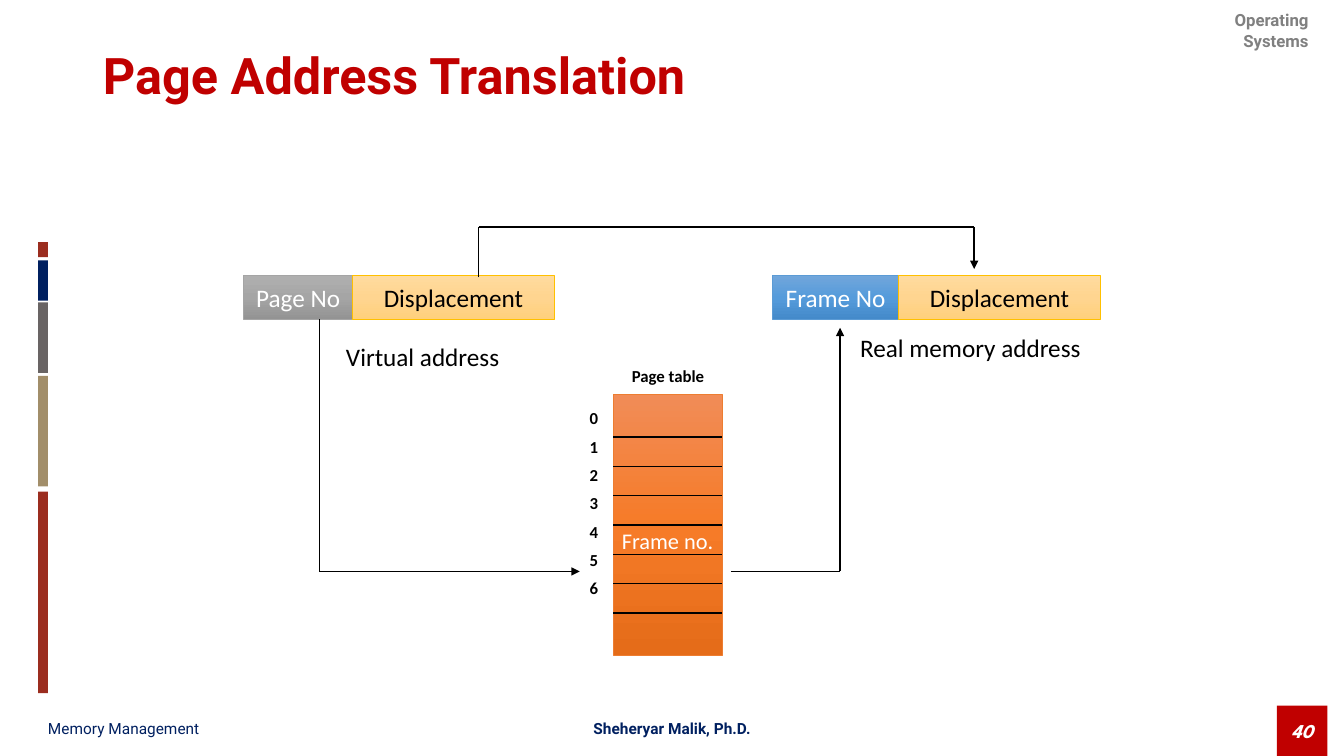
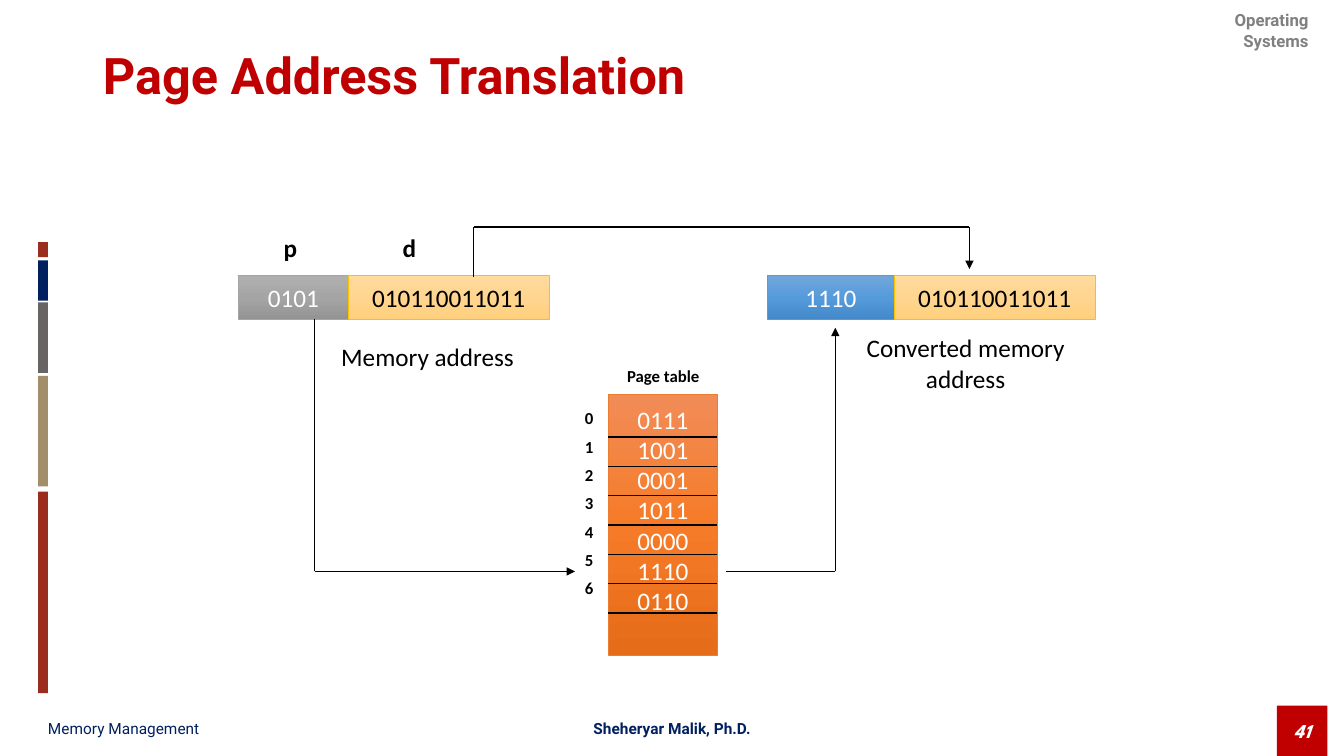
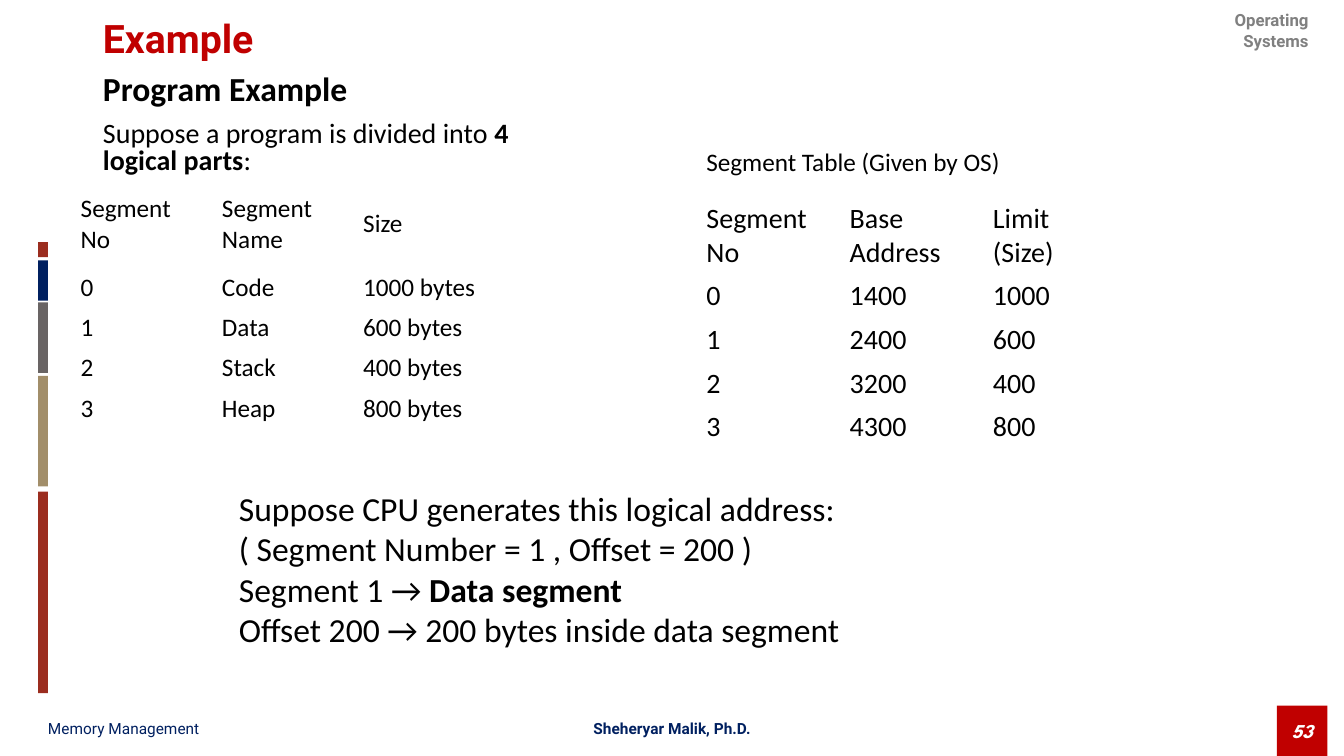
import copy
import itertools
from dataclasses import dataclass, replace
from typing import Optional, Sequence

import lxml.etree
import pptx
import pptx.dml.color
import pptx.enum.shapes
import pptx.enum.text
import pptx.oxml.ns
import pptx.util

Cm = pptx.util.Cm
Pt = pptx.util.Pt
qn = pptx.oxml.ns.qn
Align = pptx.enum.text.PP_ALIGN
Anchor = pptx.enum.text.MSO_ANCHOR
Point = tuple[float, float]
Colors = tuple[str, str, str]


# Theme: colours and text styles
@dataclass(frozen=True)
class Style:
    size: float
    color: str = "000000"
    font: str = "Calibri"
    bold: bool = False
    italic: bool = False


@dataclass(frozen=True)
class Theme:
    red: str = "C00000"
    navy: str = "002060"
    brick: str = "9B2D1F"
    sand: str = "A28E6A"
    stone: str = "696464"
    black: str = "000000"
    gray_fill: Colors = ("AFAFAF", "A5A5A5", "939393")
    gold_fill: Colors = ("FFDB9E", "FFD590", "FFD07C")
    blue_fill: Colors = ("71A6DB", "559BDB", "448ACA")
    orange_fill: Colors = ("F18C57", "F67B28", "E56C19")
    gray_line: str = "A5A5A5"
    gold_line: str = "FFC000"
    blue_line: str = "5B9BD5"
    orange_line: str = "ED7D31"
    title: Style = Style(36, "C00000", "Roboto", True)
    small_title: Style = Style(28, "C00000", "Roboto", True)
    course: Style = Style(12, "808080", "Roboto", True)
    chapter: Style = Style(11, "002060", "Roboto")
    author: Style = Style(11, "002060", "Roboto", True)
    number: Style = Style(14, "FFFFFF", "League Spartan", True, True)
    label: Style = Style(18)
    label_bold: Style = Style(18, bold=True)
    label_white: Style = Style(18, "FFFFFF")
    entry_white: Style = Style(16, "FFFFFF")
    index: Style = Style(12, bold=True)
    large: Style = Style(24)
    large_bold: Style = Style(24, bold=True)
    medium: Style = Style(20)
    medium_bold: Style = Style(20, bold=True)


THEME = Theme()


@dataclass(frozen=True)
class Box:
    left: float
    top: float
    width: float
    height: float

    def lengths(self) -> tuple:
        return Cm(self.left), Cm(self.top), Cm(self.width), Cm(self.height)


@dataclass(frozen=True)
class Run:
    text: str
    style: Style


Lines = Sequence[Sequence[Run]]


@dataclass(frozen=True)
class Bar:
    top: float
    height: float
    color: str


SIDE_BARS = (
    Bar(6.1, 0.38, THEME.brick),
    Bar(6.56, 1.02, THEME.navy),
    Bar(7.62, 1.78, THEME.stone),
    Bar(9.47, 2.79, THEME.sand),
    Bar(12.39, 5.08, THEME.brick),
)


@dataclass(frozen=True)
class Translation:
    number: str
    shift: float
    page: str
    displacement: str
    frame: str
    source_label: str
    target_label: str
    entries: Sequence[str]
    entry_style: Style
    entry_inset: float
    field_marks: Sequence[tuple[str, float]] = ()


@dataclass(frozen=True)
class Grid:
    box: Box
    columns: Sequence[float]
    rows: Sequence[float]
    style: Style
    cells: Sequence[Sequence[str]]


def rgb(color: str) -> pptx.dml.color.RGBColor:
    return pptx.dml.color.RGBColor.from_string(color)


# Text
def write(frame, lines: Lines, align=Align.LEFT, spacing: Optional[float] = None,
          before: float = 0, bullets_off: bool = False) -> None:
    for position, runs in enumerate(lines):
        paragraph = frame.paragraphs[0] if position == 0 else frame.add_paragraph()
        if bullets_off:
            properties = paragraph._p.get_or_add_pPr()
            properties.set("marL", "0")
            properties.set("indent", "0")
            lxml.etree.SubElement(properties, qn("a:buNone"))
        paragraph.alignment = align
        paragraph.space_before = Pt(before if position else 0)
        if spacing:
            paragraph.line_spacing = spacing
        for part in runs:
            run = paragraph.add_run()
            run.text = part.text
            run.font.size = Pt(part.style.size)
            run.font.name = part.style.font
            run.font.bold = part.style.bold
            run.font.italic = part.style.italic
            run.font.color.rgb = rgb(part.style.color)


def plain(texts: Sequence[str], style: Style) -> Lines:
    return [[Run(text, style)] for text in texts]


def add_label(slide, box: Box, lines: Lines, align=Align.LEFT, anchor=Anchor.TOP,
              before: float = 0) -> None:
    frame = slide.shapes.add_textbox(*box.lengths()).text_frame
    frame.word_wrap = True
    frame.vertical_anchor = anchor
    write(frame, lines, align, before=before)


def fill_placeholder(placeholder, box: Box, lines: Lines, anchor, spacing: float,
                     before: float = 0) -> None:
    placeholder.left, placeholder.top, placeholder.width, placeholder.height = box.lengths()
    frame = placeholder.text_frame
    frame.auto_size = pptx.enum.text.MSO_AUTO_SIZE.NONE
    frame.vertical_anchor = anchor
    write(frame, lines, spacing=spacing, before=before, bullets_off=True)


# Shapes and lines
def add_rectangle(slide, box: Box):
    rectangle = slide.shapes.add_shape(
        pptx.enum.shapes.MSO_SHAPE.RECTANGLE, *box.lengths())
    rectangle.shadow.inherit = False
    return rectangle


def add_solid(slide, box: Box, color: str):
    block = add_rectangle(slide, box)
    block.fill.solid()
    block.fill.fore_color.rgb = rgb(color)
    block.line.fill.background()
    return block


def add_gradient(slide, box: Box, colors: Colors, outline: str, lines: Lines,
                 inset: Optional[float] = None) -> None:
    block = add_rectangle(slide, box)
    block.fill.gradient()
    block.fill.gradient_angle = 270
    stops = block.element.spPr.find(".//" + qn("a:gsLst"))
    stops.append(copy.deepcopy(stops[0]))
    for stop, color, place in zip(block.fill.gradient_stops, colors, (0, 0.5, 1)):
        stop.color.rgb = rgb(color)
        stop.position = place
    block.line.color.rgb = rgb(outline)
    block.line.width = Pt(0.5)
    frame = block.text_frame
    frame.word_wrap = False
    frame.vertical_anchor = Anchor.MIDDLE
    if inset is not None:
        frame.vertical_anchor = Anchor.TOP
        frame.margin_top = Cm(inset)
    write(frame, lines, Align.CENTER)


def add_route(slide, points: Sequence[Point], arrow: bool = True) -> None:
    legs = list(itertools.pairwise(points))
    for position, (start, end) in enumerate(legs, 1):
        leg = slide.shapes.add_connector(
            pptx.enum.shapes.MSO_CONNECTOR.STRAIGHT,
            *(Cm(value) for value in (*start, *end)))
        leg.line.color.rgb = rgb(THEME.black)
        leg.line.width = Pt(1)
        properties = leg.element.spPr
        if arrow and position == len(legs):
            lxml.etree.SubElement(
                properties.find(qn("a:ln")), qn("a:tailEnd"), type="triangle")
        lxml.etree.SubElement(properties, qn("a:effectLst"))


def add_grid(slide, grid: Grid) -> None:
    table = slide.shapes.add_table(
        len(grid.rows), len(grid.columns), *grid.box.lengths()).table
    table.first_row = False
    table.horz_banding = False
    for column, width in zip(table.columns, grid.columns):
        column.width = Cm(width)
    for row, height, texts in zip(table.rows, grid.rows, grid.cells):
        row.height = Cm(height)
        for cell, text in zip(row.cells, texts):
            cell.fill.background()
            cell.vertical_anchor = Anchor.MIDDLE
            write(cell.text_frame, plain([text], grid.style))


# Frame shared by all slides
def new_slide(deck, layout: int, number: str, title: str, style: Style,
              title_height: float):
    slide = deck.slides.add_slide(deck.slide_layouts[layout])
    add_label(slide, Box(29.34, 0.13, 3.89, 1.3),
              plain(["Operating Systems"], THEME.course), Align.RIGHT)
    badge = add_solid(slide, Box(32.18, 17.78, 1.27, 1.27), THEME.red)
    badge.text_frame.vertical_anchor = Anchor.MIDDLE
    write(badge.text_frame, plain([number], THEME.number), Align.CENTER)
    chapter = Box(0.96, 17.93, 11.18, 0.84)
    add_label(slide, chapter, plain(["Memory Management"], THEME.chapter),
              anchor=Anchor.MIDDLE)
    add_label(slide, replace(chapter, left=11.35),
              plain(["Sheheryar Malik, Ph.D."], THEME.author),
              Align.CENTER, Anchor.MIDDLE)
    for bar in SIDE_BARS:
        add_solid(slide, Box(0.96, bar.top, 0.25, bar.height), bar.color)
    fill_placeholder(slide.shapes.title, Box(2.34, 0.13, 29.21, title_height),
                     plain([title], style), Anchor.MIDDLE, 0.9)
    return slide


# Address translation diagram
def add_translation(deck, case: Translation) -> None:
    slide = new_slide(deck, 5, case.number, "Page Address Translation", THEME.title, 3.68)

    def box(left: float, top: float, width: float, height: float) -> Box:
        return Box(left + case.shift, top, width, height)

    def route(*points: Point) -> None:
        add_route(slide, [(x + case.shift, y) for x, y in points])

    # Address fields
    fields = (
        (6.14, 2.75, THEME.gray_fill, THEME.gray_line, case.page, THEME.label_white),
        (8.89, 5.08, THEME.gold_fill, THEME.gold_line, case.displacement, THEME.label),
        (19.47, 3.18, THEME.blue_fill, THEME.blue_line, case.frame, THEME.label_white),
        (22.65, 5.08, THEME.gold_fill, THEME.gold_line, case.displacement, THEME.label),
    )
    for left, width, colors, outline, text, style in fields:
        add_gradient(slide, box(left, 6.95, width, 1.1), colors, outline,
                     plain([text], style))

    # Page table with its row numbers
    add_label(slide, box(14.61, 10.16, 0.85, 5.33),
              plain([str(row) for row in range(7)], THEME.index), before=5.8)
    page_table = box(15.45, 9.95, 2.75, 6.56)
    add_gradient(slide, page_table, THEME.orange_fill, THEME.orange_line,
                 plain(case.entries, case.entry_style), case.entry_inset)
    for row in range(7):
        y = 11.01 + 0.74 * row
        add_route(slide, [(page_table.left, y),
                          (page_table.left + page_table.width, y)], arrow=False)

    # Routes from the source address to the target address
    route((8.05, 8.05), (8.05, 14.4), (14.61, 14.4))
    route((18.42, 14.4), (21.17, 14.4), (21.17, 8.26))
    route((12.06, 6.99), (12.06, 5.72), (24.55, 5.72), (24.55, 6.78))

    # Captions
    add_label(slide, box(8.47, 8.47, 5.92, 1.02), plain([case.source_label], THEME.label))
    add_label(slide, box(21.38, 8.26, 6.15, 1.02),
              plain([case.target_label], THEME.label), Align.CENTER)
    add_label(slide, box(14.61, 9.1, 4.45, 0.76),
              plain(["Page table"], THEME.index), Align.CENTER)
    for mark, left in case.field_marks:
        add_label(slide, Box(left, 5.72, 1, 1.02), plain([mark], THEME.label_bold))


TRANSLATIONS = (
    Translation("40", 0, "Page No", "Displacement", "Frame No", "Virtual address",
                "Real memory address", ["Frame no."], THEME.entry_white, 3.34),
    Translation("41", -0.12, "0101", "010110011011", "1110", "Memory address",
                "Converted memory address",
                ["0111", "1001", "0001", "1011", "0000", "1110", "0110"],
                THEME.label_white, 0.23, (("p", 6.9), ("d", 9.9))),
)

PROGRAM_PARTS = Grid(
    Box(1.78, 4.57, 10.67, 6.22), (3.56,) * 3, (2.16,) + (0.94,) * 4, THEME.label,
    (("Segment No", "Segment Name", "Size"),
     ("0", "Code", "1000 bytes"),
     ("1", "Data", "600 bytes"),
     ("2", "Stack", "400 bytes"),
     ("3", "Heap", "800 bytes")))

SEGMENT_TABLE = Grid(
    Box(17.55, 4.95, 10.6, 6.35), (3.61, 3.61, 3.4), (0.89,) * 5, THEME.medium,
    (("Segment No", "Base Address", "Limit (Size)"),
     ("0", "1400", "1000"),
     ("1", "2400", "600"),
     ("2", "3200", "400"),
     ("3", "4300", "800")))


# Segmentation example
def add_example(deck) -> None:
    slide = new_slide(deck, 1, "53", "Example", THEME.small_title, 1.8)
    fill_placeholder(
        slide.placeholders[1], Box(2.34, 1.78, 11.1, 3.05),
        [[Run("Program Example", THEME.large_bold)],
         [Run("Suppose a program is divided into ", THEME.medium),
          Run("4 logical parts", THEME.medium_bold),
          Run(":", THEME.medium)]],
        Anchor.TOP, 0.8, 10)
    add_grid(slide, PROGRAM_PARTS)
    add_label(slide, Box(17.55, 3.56, 8.2, 1.02),
              plain(["Segment Table (Given by OS)"], THEME.label))
    add_grid(slide, SEGMENT_TABLE)
    add_label(
        slide, Box(5.77, 12.17, 16, 5.13),
        [[Run("Suppose CPU generates this logical address:", THEME.large)],
         [Run("( Segment Number = 1 , Offset = 200 )", THEME.large)],
         [Run("Segment 1 → ", THEME.large), Run("Data segment", THEME.large_bold)],
         [Run("Offset 200 → 200 bytes inside data segment", THEME.large)]])


def main() -> None:
    deck = pptx.Presentation()
    deck.slide_width = Cm(33.87)
    deck.slide_height = Cm(19.05)
    for case in TRANSLATIONS:
        add_translation(deck, case)
    add_example(deck)
    deck.save("out.pptx")


if __name__ == "__main__":
    main()
